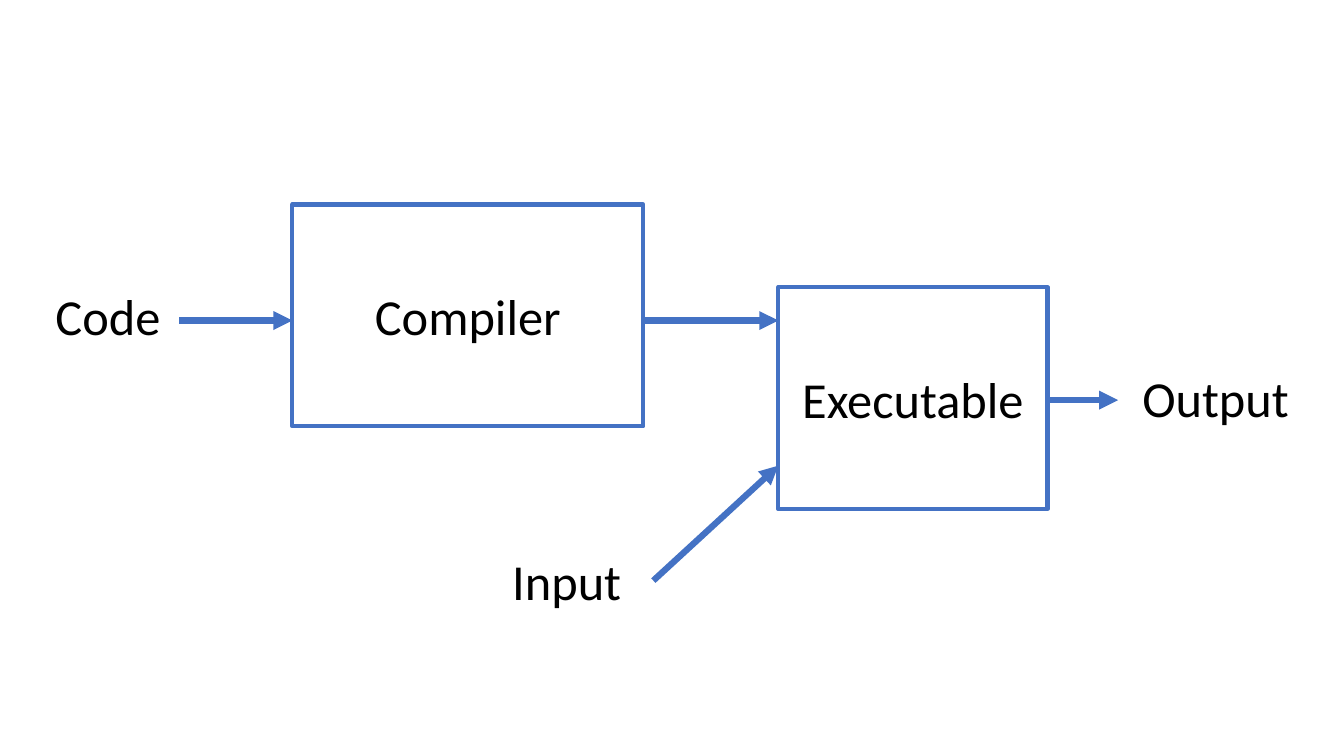
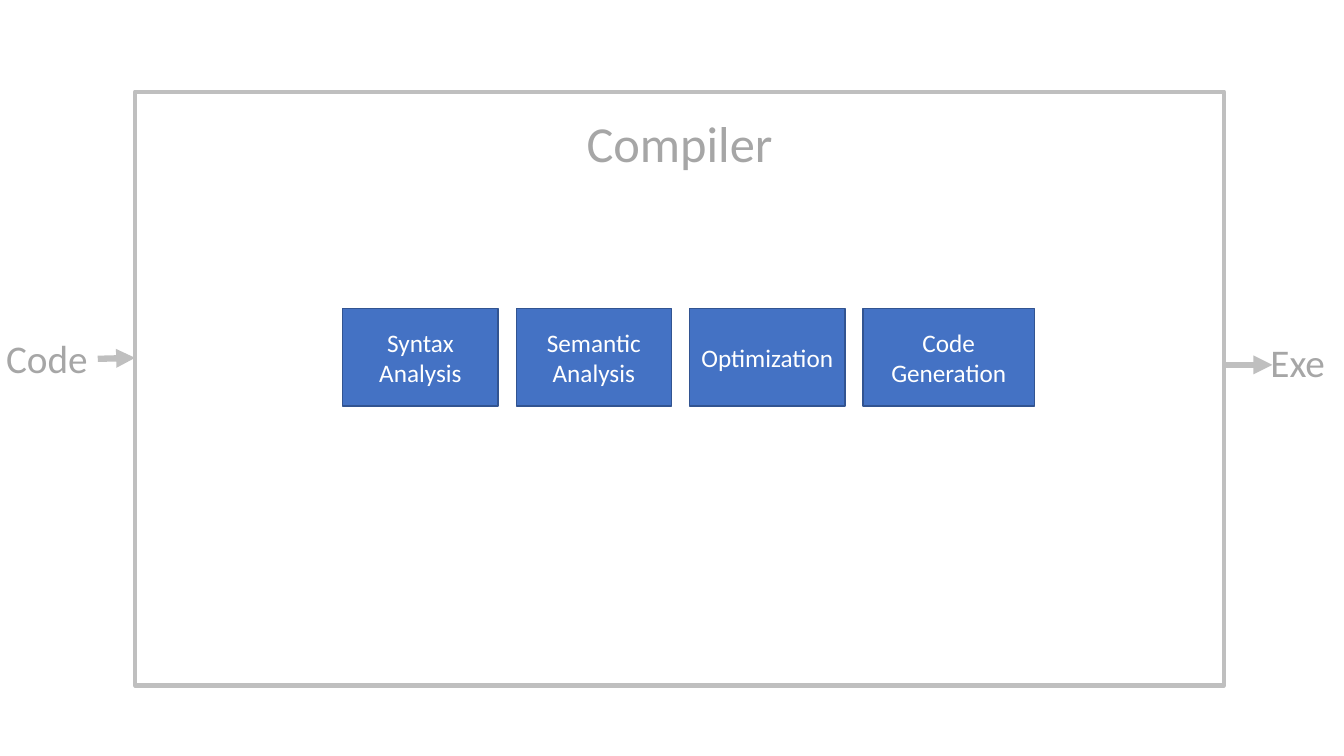
from lxml import etree
from pptx import Presentation
from pptx.dml.color import RGBColor
from pptx.enum import shapes, text
from pptx.oxml import ns
from pptx.util import Inches, Pt

FONT = "Calibri"
BLACK = RGBColor(0x00, 0x00, 0x00)
WHITE = RGBColor(0xFF, 0xFF, 0xFF)
BLUE = RGBColor(0x44, 0x72, 0xC4)
NAVY = RGBColor(0x32, 0x54, 0x91)
SILVER = RGBColor(0xBF, 0xBF, 0xBF)
GRAY = RGBColor(0xA6, 0xA6, 0xA6)


def write(frame, words, size=36, color=BLACK, align=text.PP_ALIGN.LEFT,
          anchor=text.MSO_ANCHOR.TOP, wrap=True):
    """Fill a text frame, one paragraph for each line of words."""
    frame.word_wrap = wrap
    frame.vertical_anchor = anchor
    for i, line in enumerate(words.split("\n")):
        para = frame.paragraphs[0] if i == 0 else frame.add_paragraph()
        para.alignment = align
        run = para.add_run()
        run.text = line
        run.font.name = FONT
        run.font.size = Pt(size)
        run.font.color.rgb = color


def add_box(slide, words, at, fill=WHITE, line=BLUE, weight=3,
            anchor=text.MSO_ANCHOR.MIDDLE, **style):
    box = slide.shapes.add_shape(shapes.MSO_SHAPE.RECTANGLE, *map(Inches, at))
    box.shadow.inherit = False
    box.fill.solid()
    box.fill.fore_color.rgb = fill
    box.line.color.rgb = line
    box.line.width = Pt(weight)
    write(box.text_frame, words, align=text.PP_ALIGN.CENTER, anchor=anchor, **style)
    return box


def add_label(slide, words, at, **style):
    """Place unwrapped text flush with the corner of its box."""
    frame = slide.shapes.add_textbox(*map(Inches, at)).text_frame
    frame.margin_left = frame.margin_right = 0
    frame.margin_top = frame.margin_bottom = 0
    write(frame, words, wrap=False, **style)


def add_arrow(slide, start, end, color=BLUE):
    line = slide.shapes.add_connector(
        shapes.MSO_CONNECTOR.STRAIGHT, *map(Inches, start + end))
    line.line.color.rgb = color
    line.line.width = Pt(4.5)
    etree.SubElement(line.line._get_or_add_ln(), ns.qn("a:tailEnd"), type="triangle")
    etree.SubElement(line._element.spPr, ns.qn("a:effectLst"))


def draw_flow(slide, left, top):
    """Show code compiled to a program that turns input into output."""
    wide, narrow, high = 3.48, 2.67, 2.2
    right = left + wide
    exe_x, exe_y = left + 4.82, top + 0.82
    exe_end = exe_x + narrow
    mid, out = top + 1.15, top + 1.94

    add_box(slide, "Compiler", (left, top, wide, high))
    add_arrow(slide, (left - 1.12, mid), (left, mid))
    add_arrow(slide, (right + 0.1, top + 3.73), (exe_x, top + 2.59))
    add_arrow(slide, (right, mid), (exe_x, mid))
    for words, x, y, width in (("Code", -2.35, 0.8, 1.05),
                               ("Input", 2.18, 3.43, 1.09),
                               ("Output", 8.43, 1.61, 1.47)):
        add_label(slide, words, (left + x, top + y, width, 0.61))
    add_box(slide, "Executable", (exe_x, exe_y, narrow, high))
    add_arrow(slide, (exe_end, out), (exe_end + 0.7, out))


def draw_phases(slide, left, top):
    """Lay the compiler's phases in a row."""
    names = "Syntax\nAnalysis", "Semantic Analysis", "Optimization", "Code Generation"
    for i, name in enumerate(names):
        width = 1.7 if i == len(names) - 1 else 1.54
        add_box(slide, name, (left + 1.72 * i, top, width, 0.97),
                fill=BLUE, line=NAVY, weight=1, size=18, color=WHITE)


def draw_compiler(slide, left, top, width, height):
    """Open up the compiler, with its code and program beside it."""
    right = left + width
    frame = add_box(slide, "Compiler", (left, top, width, height), line=SILVER,
                    color=GRAY, anchor=text.MSO_ANCHOR.TOP)
    frame.text_frame.margin_top = Inches(0.2)
    add_arrow(slide, (left - 0.37, top + 2.65), (left, top + 2.64), SILVER)
    add_label(slide, "Code", (left - 1.28, top + 2.41, 0.82, 0.47),
              size=28, color=GRAY)
    add_label(slide, "Exe", (right + 0.46, top + 2.45, 0.55, 0.47),
              size=28, color=GRAY)
    add_arrow(slide, (right, top + 2.71), (right + 0.48, top + 2.71), SILVER)
    draw_phases(slide, left + 2.06, top + 2.15)


def main():
    deck = Presentation()
    deck.slide_width, deck.slide_height = Inches(13.33), Inches(7.5)
    blank = deck.slide_layouts[6]
    draw_flow(deck.slides.add_slide(blank), 2.9, 2.03)
    draw_compiler(deck.slides.add_slide(blank), 1.34, 0.91, 10.8, 5.89)
    deck.save("out.pptx")


if __name__ == "__main__":
    main()
